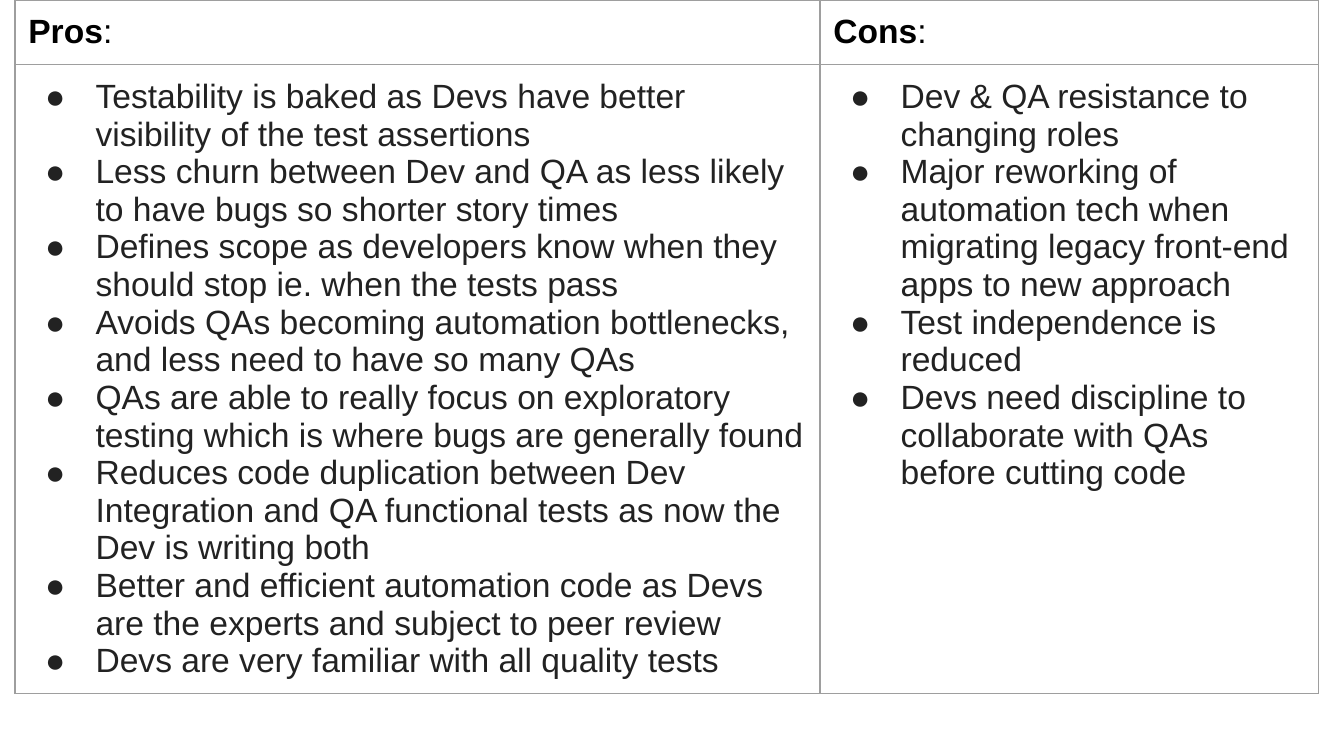
"""Build a slide with a two-column table of pros and cons."""
from lxml.etree import SubElement
from pptx import Presentation
from pptx.dml.color import RGBColor
from pptx.oxml.ns import qn
from pptx.util import Pt

COLORS = {"heading": "000000", "body": "222222", "border": "9E9E9E"}
FONT = "Arial"
COLUMN_WIDTHS = (431.3, 267.1)
ROW_HEIGHTS = (34.4, 337)
COLUMNS = {
    "Pros": [
        "Testability is baked as Devs have better visibility of the test assertions",
        "Less churn between Dev and QA as less likely to have bugs so shorter story times",
        "Defines scope as developers know when they should stop ie. when the tests pass",
        "Avoids QAs becoming automation bottlenecks, and less need to have so many QAs",
        "QAs are able to really focus on exploratory testing which is where bugs are "
        "generally found",
        "Reduces code duplication between Dev Integration and QA functional tests as now "
        "the Dev is writing both",
        "Better and efficient automation code as Devs are the experts and subject to "
        "peer review",
        "Devs are very familiar with all quality tests",
    ],
    "Cons": [
        "Dev & QA resistance to changing roles",
        "Major reworking of automation tech when migrating legacy front-end apps to "
        "new approach",
        "Test independence is reduced",
        "Devs need discipline to collaborate with QAs before cutting code",
    ],
}


def add_run(p, text, color, bold=False):
    r = p.add_run()
    r.text = text
    r.font.name = FONT
    r.font.size = Pt(18)
    r.font.bold = bold
    r.font.color.rgb = RGBColor.from_string(COLORS[color])


def add_color(parent, color):
    SubElement(parent, qn("a:srgbClr"), val=COLORS[color])


def set_bullet(p):
    pPr = p._p.get_or_add_pPr()
    pPr.set("marL", str(Pt(36)))
    pPr.set("indent", str(-Pt(27)))
    add_color(SubElement(pPr, qn("a:buClr")), "body")
    SubElement(pPr, qn("a:buFont"), typeface=FONT)
    SubElement(pPr, qn("a:buChar"), char="●")


def style_cell(cell):
    cell.margin_left = cell.margin_right = Pt(7.2)
    cell.margin_top = cell.margin_bottom = Pt(7.2)
    tcPr = cell._tc.get_or_add_tcPr()
    for side in ("lnL", "lnR", "lnT", "lnB"):
        ln = SubElement(tcPr, qn(f"a:{side}"), w=str(Pt(0.75)))
        add_color(SubElement(ln, qn("a:solidFill")), "border")
    cell.fill.background()


def fill_heading(cell, heading):
    style_cell(cell)
    p = cell.text_frame.paragraphs[0]
    add_run(p, heading, "heading", bold=True)
    add_run(p, ":", "heading")


def fill_bullets(cell, items):
    style_cell(cell)
    tf = cell.text_frame
    for i, item in enumerate(items):
        p = tf.add_paragraph() if i else tf.paragraphs[0]
        set_bullet(p)
        add_run(p, item, "body")


def add_comparison(slide):
    table = slide.shapes.add_table(
        2, len(COLUMNS), Pt(8), Pt(0), Pt(sum(COLUMN_WIDTHS)), Pt(sum(ROW_HEIGHTS))
    ).table
    table.first_row = table.horz_banding = False
    for column, width in zip(table.columns, COLUMN_WIDTHS):
        column.width = Pt(width)
    for row, height in zip(table.rows, ROW_HEIGHTS):
        row.height = Pt(height)
    for col, (heading, items) in enumerate(COLUMNS.items()):
        fill_heading(table.cell(0, col), heading)
        fill_bullets(table.cell(1, col), items)


def main():
    prs = Presentation()
    prs.slide_width, prs.slide_height = Pt(720), Pt(405)
    slide = prs.slides.add_slide(prs.slide_layouts[6])
    add_comparison(slide)
    prs.save("out.pptx")


main()
